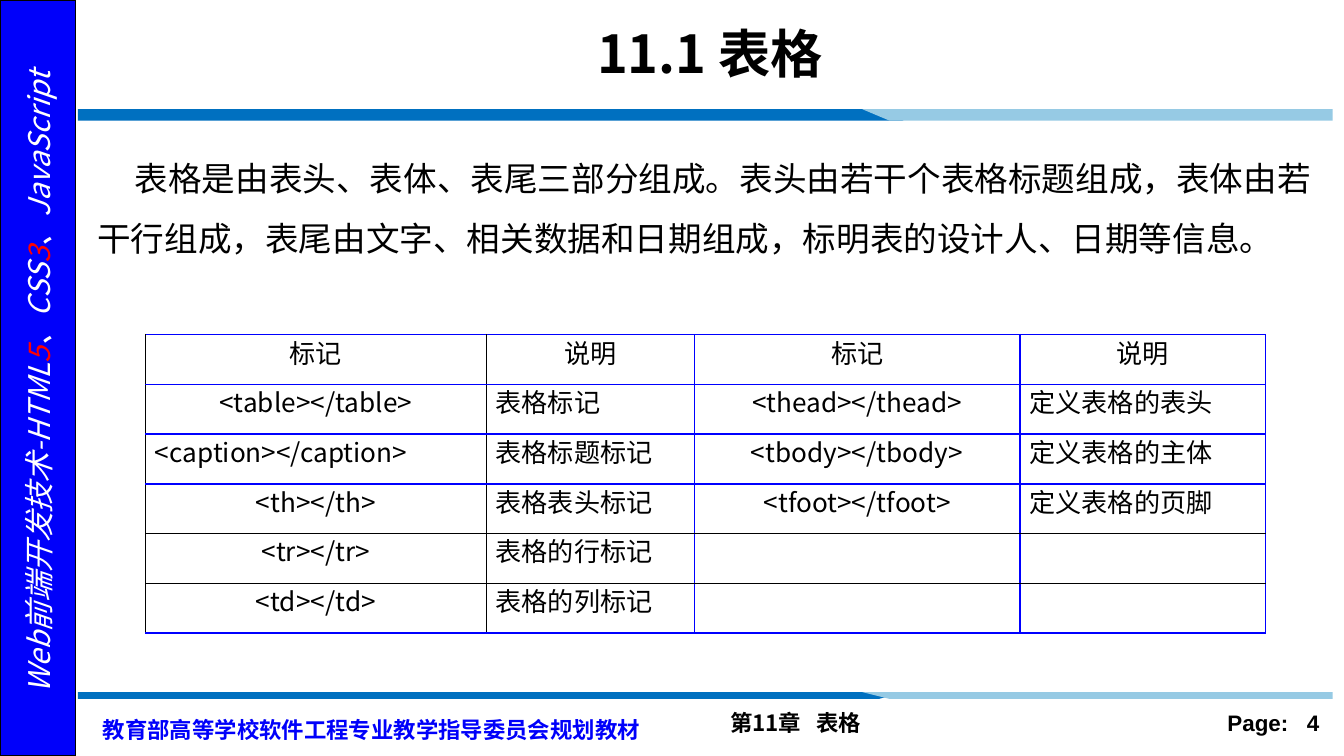
from lxml import etree
from pptx import Presentation
from pptx.dml.color import RGBColor
from pptx.enum.shapes import MSO_SHAPE
from pptx.enum.text import MSO_ANCHOR, PP_ALIGN
from pptx.oxml.ns import qn
from pptx.util import Pt

LEFT, CENTER, RIGHT, JUSTIFY = PP_ALIGN.LEFT, PP_ALIGN.CENTER, PP_ALIGN.RIGHT, PP_ALIGN.JUSTIFY
MIDDLE = MSO_ANCHOR.MIDDLE
RECTANGLE = MSO_SHAPE.RECTANGLE

BLACK = RGBColor(0x00, 0x00, 0x00)
WHITE = RGBColor(0xFF, 0xFF, 0xFF)
RED = RGBColor(0xFF, 0x00, 0x00)
BLUE = RGBColor(0x00, 0x00, 0xFA)
BORDER_BLUE = RGBColor(0x00, 0x00, 0xFF)
BAR_DARK = RGBColor(0x00, 0x70, 0xC0)
BAR_LIGHT = RGBColor(0x96, 0xCA, 0xE4)
CJK_FONT = "Noto Sans CJK SC"


def format_runs(paragraph, size, color=BLACK, bold=False, font_name=CJK_FONT):
    for run in paragraph.runs:
        font = run.font
        font.name, font.size, font.bold = font_name, Pt(size), bold
        font.color.rgb = color
        east_asian = etree.SubElement(font._element, qn("a:ea"))
        east_asian.set("typeface", font_name)


def add_text(left, top, width, height, text, size, color=BLACK, bold=False,
             font_name=CJK_FONT, align=LEFT):
    """Add a wrapping one-paragraph text box and return it."""
    box = slide.shapes.add_textbox(Pt(left), Pt(top), Pt(width), Pt(height))
    box.text_frame.word_wrap = True
    paragraph = box.text_frame.paragraphs[0]
    paragraph.text = text
    paragraph.alignment = align
    format_runs(paragraph, size, color, bold, font_name)
    return box


presentation = Presentation()
presentation.slide_width, presentation.slide_height = Pt(720), Pt(405)
slide = presentation.slides.add_slide(presentation.slide_layouts[5])

# Footer
add_text(384, 376.5, 237, 21.6, "第11章   表格", 12, bold=True)
add_text(624, 376.5, 90, 21.6, "Page:   4", 12, bold=True, font_name="Arial", align=RIGHT)

# Sidebar with the rotated book title
sidebar = slide.shapes.add_shape(RECTANGLE, 0, 0, Pt(40.5), Pt(405))
sidebar.shadow.inherit = False
sidebar.fill.solid()
sidebar.fill.fore_color.rgb = BLUE
sidebar.line.color.rgb = BLACK
sidebar.line.width = Pt(1)

publisher = add_text(48, 376.5, 312, 25.2, "教育部高等学校软件工程专业教学指导委员会规划教材",
                     12, BLUE, bold=True)
publisher.text_frame.paragraphs[0].line_spacing = Pt(18)

book_title = add_text(-166.3, 191.5, 373.7, 26.6, "", 16, align=CENTER)
book_title.rotation = 270
book_title.text_frame.word_wrap = False
book_paragraph = book_title.text_frame.paragraphs[0]
for part in ("Web前端开发技术-HTML", "5", "、CSS", "3", "、JavaScript"):
    book_paragraph.add_run().text = part
format_runs(book_paragraph, 16, WHITE)
for run in book_paragraph.runs:
    run.font.italic = True
    if run.text.isdigit():
        run.font.color.rgb = RED

# Two-tone bars: the lower one is thinner and mirrored
for near, far in ((58.5, 64.6), (374.4, 370.8)):
    for color, corners in (
        (BAR_DARK, ((41.8, near), (471, near), (484, far), (41.8, far))),
        (BAR_LIGHT, ((462, near), (714, near), (714, far), (476.5, far))),
    ):
        if near > far:  # mirrored bar: the light part starts at its upper edge
            if color == BAR_LIGHT:
                corners = ((476.5, near), (714, near), (714, far), (462, far))
        points = [(Pt(x), Pt(y)) for x, y in corners]
        builder = slide.shapes.build_freeform(*points[0])
        builder.add_line_segments(points[1:], close=True)
        bar = builder.convert_to_shape()
        bar.shadow.inherit = False
        bar.fill.solid()
        bar.fill.fore_color.rgb = color
        bar.line.fill.background()

# Title
title = slide.shapes.title
title.left, title.top, title.width, title.height = Pt(78), Pt(6), Pt(611), Pt(44.6)
title.text_frame.text = "11.1 表格 "
title.text_frame.vertical_anchor = MIDDLE
title.text_frame.paragraphs[0].alignment = CENTER
format_runs(title.text_frame.paragraphs[0], 28, bold=True)

# Introduction
introduction = add_text(
    45, 70.6, 672, 85,
    "表格是由表头、表体、表尾三部分组成。表头由若干个表格标题组成，表体由若干行组成，"
    "表尾由文字、相关数据和日期组成，标明表的设计人、日期等信息。", 18)
paragraph = introduction.text_frame.paragraphs[0]
paragraph.line_spacing = Pt(32)
paragraph.space_before, paragraph.space_after = Pt(5.4), Pt(3.6)
paragraph._p.get_or_add_pPr().set("indent", str(Pt(20)))

# Table of tags
ROWS = (
    ("标记", "说明", "标记", "说明"),
    ("<table></table>", "表格标记", "<thead></thead>", "定义表格的表头"),
    ("<caption></caption>", "表格标题标记", "<tbody></tbody>", "定义表格的主体"),
    ("<th></th>", "表格表头标记", "<tfoot></tfoot>", "定义表格的页脚"),
    ("<tr></tr>", "表格的行标记", "", ""),
    ("<td></td>", "表格的列标记", "", ""),
)
COLUMN_WIDTHS = (182.5, 111.5, 174.5, 131.5)
COLUMN_ALIGNS = (CENTER, JUSTIFY, CENTER, LEFT)
ROW_HEIGHT = 26.64
THIN_COLUMN_EDGES = (0, 1)
THIN_ROW_EDGES = (4, 5)

table = slide.shapes.add_table(len(ROWS), len(COLUMN_WIDTHS), Pt(78), Pt(179.3),
                               Pt(sum(COLUMN_WIDTHS)), Pt(ROW_HEIGHT * len(ROWS))).table
table.first_row = table.horz_banding = False
for column, width in zip(table.columns, COLUMN_WIDTHS):
    column.width = Pt(width)
for row_index, texts in enumerate(ROWS):
    table.rows[row_index].height = Pt(ROW_HEIGHT)
    for column_index, text in enumerate(texts):
        cell = table.cell(row_index, column_index)
        cell.vertical_anchor = MIDDLE
        cell.margin_left = cell.margin_right = Pt(5)
        cell.margin_top = cell.margin_bottom = 0
        paragraph = cell.text_frame.paragraphs[0]
        paragraph.text = text
        paragraph.line_spacing = Pt(12)
        paragraph.alignment = CENTER if row_index == 0 else COLUMN_ALIGNS[column_index]
        if text.startswith("<caption>"):
            paragraph.alignment = JUSTIFY
        format_runs(paragraph, 14)

        properties = cell._tc.get_or_add_tcPr()
        for tag, is_thin in (
            ("a:lnL", column_index in THIN_COLUMN_EDGES),
            ("a:lnR", column_index + 1 in THIN_COLUMN_EDGES),
            ("a:lnT", row_index in THIN_ROW_EDGES),
            ("a:lnB", row_index + 1 in THIN_ROW_EDGES),
        ):
            line = etree.SubElement(properties, qn(tag), w=str(Pt(0.5 if is_thin else 1)))
            fill = etree.SubElement(line, qn("a:solidFill"))
            etree.SubElement(fill, qn("a:srgbClr"), val=str(BLACK if is_thin else BORDER_BLUE))
        cell.fill.solid()
        cell.fill.fore_color.rgb = WHITE

presentation.save("out.pptx")
